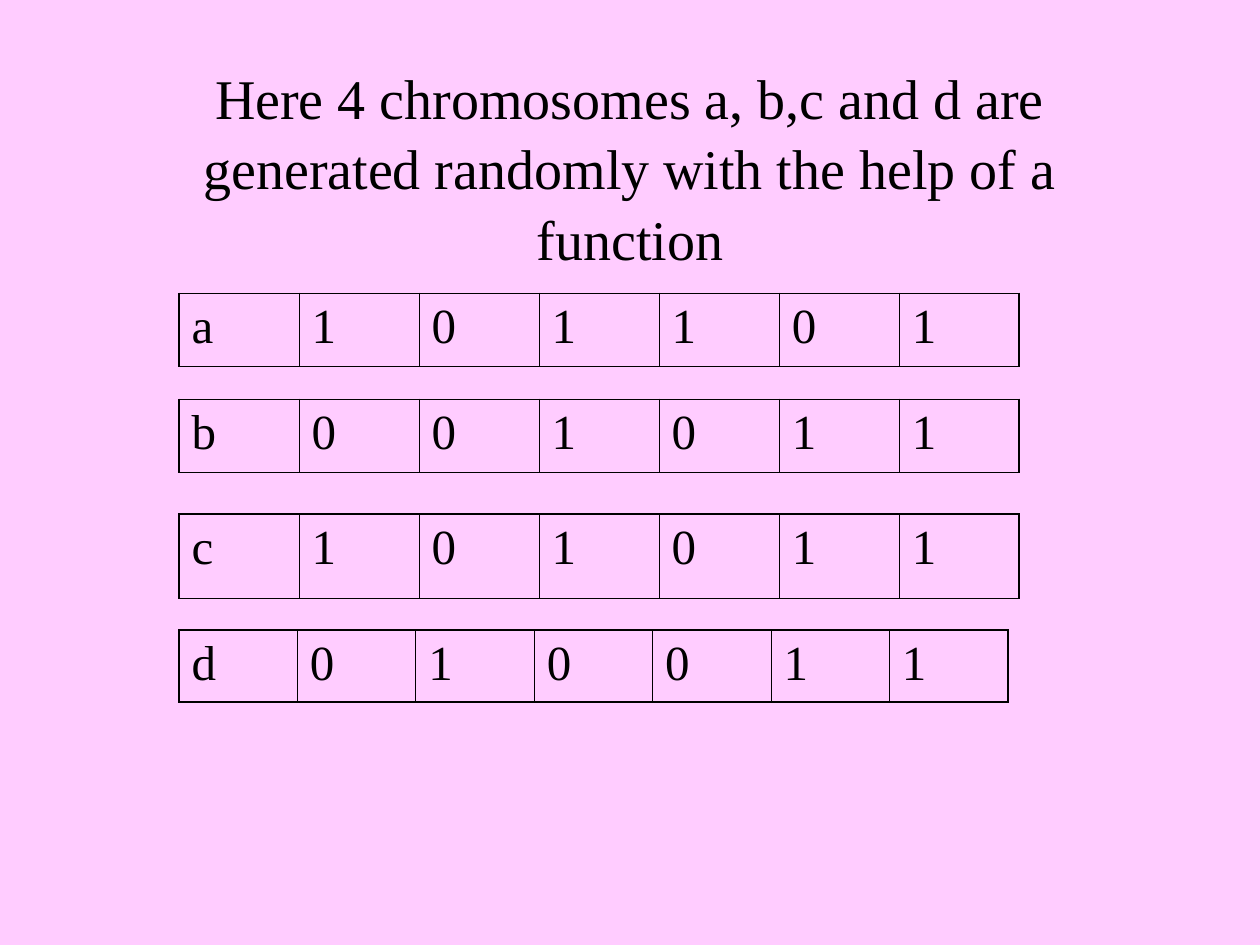
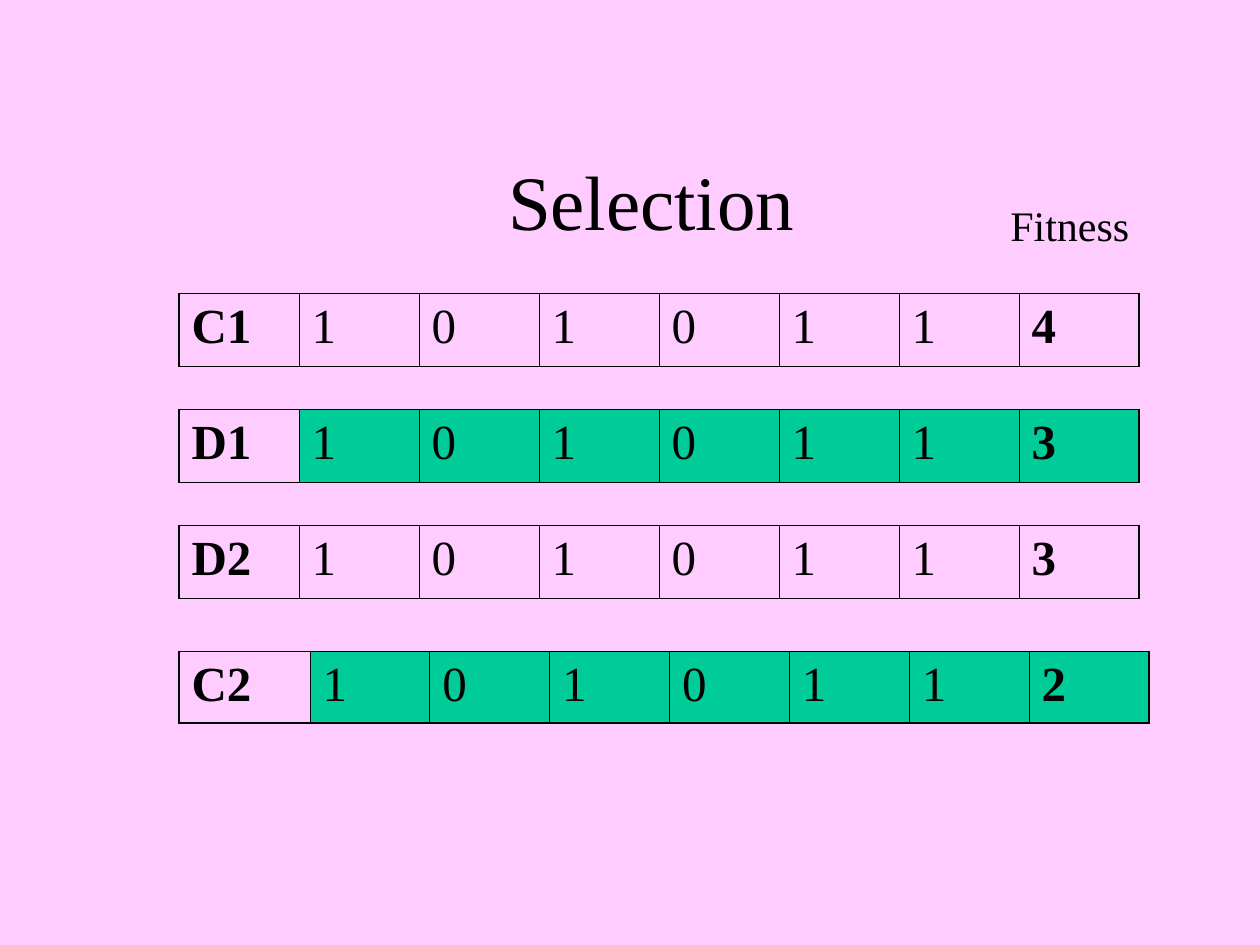
from lxml import etree
from pptx import Presentation
from pptx.dml.color import RGBColor
from pptx.enum import text
from pptx.oxml import ns
from pptx.util import Inches, Pt

# Content: each chromosome is (label, genes, fitness, highlighted, top, width, height)
FONT = "Times New Roman"
BACKGROUND, INK, HIGHLIGHT = "FFCCFF", "000000", "00CC99"
TABLE_LEFT = 1.42
LABEL_WIDTH = {"C2": 1.04}  # the other labels share the gene width
OUTER_LINE, INNER_LINE = 1.08, 0.45

SLIDES = [
    {
        "title": "Here 4 chromosomes a, b,c and d are generated randomly "
                 "with the help of a function",
        "title_at": (0.75, 0.69, 8.5, 1.25),
        "title_size": 32,
        "chromosomes": [
            ("a", "101101", "", False, 2.33, 6.67, 0.58),
            ("b", "001011", "", False, 3.17, 6.67, 0.58),
            ("c", "101011", "", False, 4.08, 6.67, 0.67),
            ("d", "010011", "", False, 5.0, 6.58, 0.57),
        ],
    },
    {
        "title": "Selection",
        "title_at": (0.92, 0.94, 8.5, 1.25),
        "title_size": 44,
        "chromosomes": [
            ("C1", "101011", "4", False, 2.33, 7.62, 0.58),
            ("D1", "101011", "3", True, 3.25, 7.62, 0.58),
            ("D2", "101011", "3", False, 4.17, 7.62, 0.58),
            ("C2", "101011", "2", True, 5.17, 7.7, 0.57),
        ],
        "fitness_heading": ("Fitness", (7.92, 1.58, 1.17, 0.46)),
    },
]


def color(value):
    return RGBColor.from_string(value)


def add_run(paragraph, content, size, bold=False):
    run = paragraph.add_run()
    run.text = content
    run.font.name = FONT
    run.font.size = Pt(size)
    run.font.bold = bold
    run.font.color.rgb = color(INK)


def add_text(slide, content, at, size, spacing):
    frame = slide.shapes.add_textbox(*map(Inches, at)).text_frame
    frame.word_wrap = True
    paragraph = frame.paragraphs[0]
    paragraph.line_spacing = spacing
    add_run(paragraph, content, size)
    return frame


def set_borders(cell, widths):
    """Draw the left, right, top and bottom borders, in that order."""
    properties = cell._tc.get_or_add_tcPr()
    for index, (side, width) in enumerate(zip("LRTB", widths)):
        line = etree.Element(ns.qn(f"a:ln{side}"), w=str(Pt(width)))
        fill = etree.SubElement(line, ns.qn("a:solidFill"))
        etree.SubElement(fill, ns.qn("a:srgbClr"), val=INK)
        properties.insert(index, line)


def add_chromosome(slide, label, genes, fitness, highlighted, top, width, height):
    values = [label, *genes, *fitness]
    last = len(values) - 1
    frame = slide.shapes.add_table(1, len(values), Inches(TABLE_LEFT), Inches(top),
                                   Inches(width), Inches(height))
    table = frame.table
    table.first_row = table.horz_banding = False
    table.rows[0].height = Inches(height)
    label_width = LABEL_WIDTH.get(label, width / len(values))
    gene_width = (width - label_width) / last

    for index, value in enumerate(values):
        table.columns[index].width = Inches(gene_width if index else label_width)
        cell = table.cell(0, index)
        if highlighted and index > 0:
            cell.fill.solid()
            cell.fill.fore_color.rgb = color(HIGHLIGHT)
        else:
            cell.fill.background()
        set_borders(cell, (INNER_LINE if index else OUTER_LINE,
                           OUTER_LINE if index == last else INNER_LINE,
                           OUTER_LINE, OUTER_LINE))
        paragraph = cell.text_frame.paragraphs[0]
        paragraph.space_before = Pt(7)
        # Rows with a fitness value have bold ends
        add_run(paragraph, value, 28, bold=bool(fitness) and index in (0, last))


def build_slide(presentation, content):
    slide = presentation.slides.add_slide(presentation.slide_layouts[6])
    slide.background.fill.solid()
    slide.background.fill.fore_color.rgb = color(BACKGROUND)

    # Title
    title = add_text(slide, content["title"], content["title_at"],
                     content["title_size"], 1.05)
    title.vertical_anchor = text.MSO_ANCHOR.MIDDLE
    title.paragraphs[0].alignment = text.PP_ALIGN.CENTER

    # Chromosome rows
    for chromosome in content["chromosomes"]:
        add_chromosome(slide, *chromosome)

    # Heading over the fitness column
    if "fitness_heading" in content:
        heading, at = content["fitness_heading"]
        frame = add_text(slide, heading, at, 24, 0.9)
        frame.paragraphs[0].space_before = Pt(15)


def main():
    presentation = Presentation()
    presentation.slide_width = Inches(10)
    presentation.slide_height = Inches(7.5)
    for content in SLIDES:
        build_slide(presentation, content)
    presentation.save("out.pptx")


if __name__ == "__main__":
    main()
